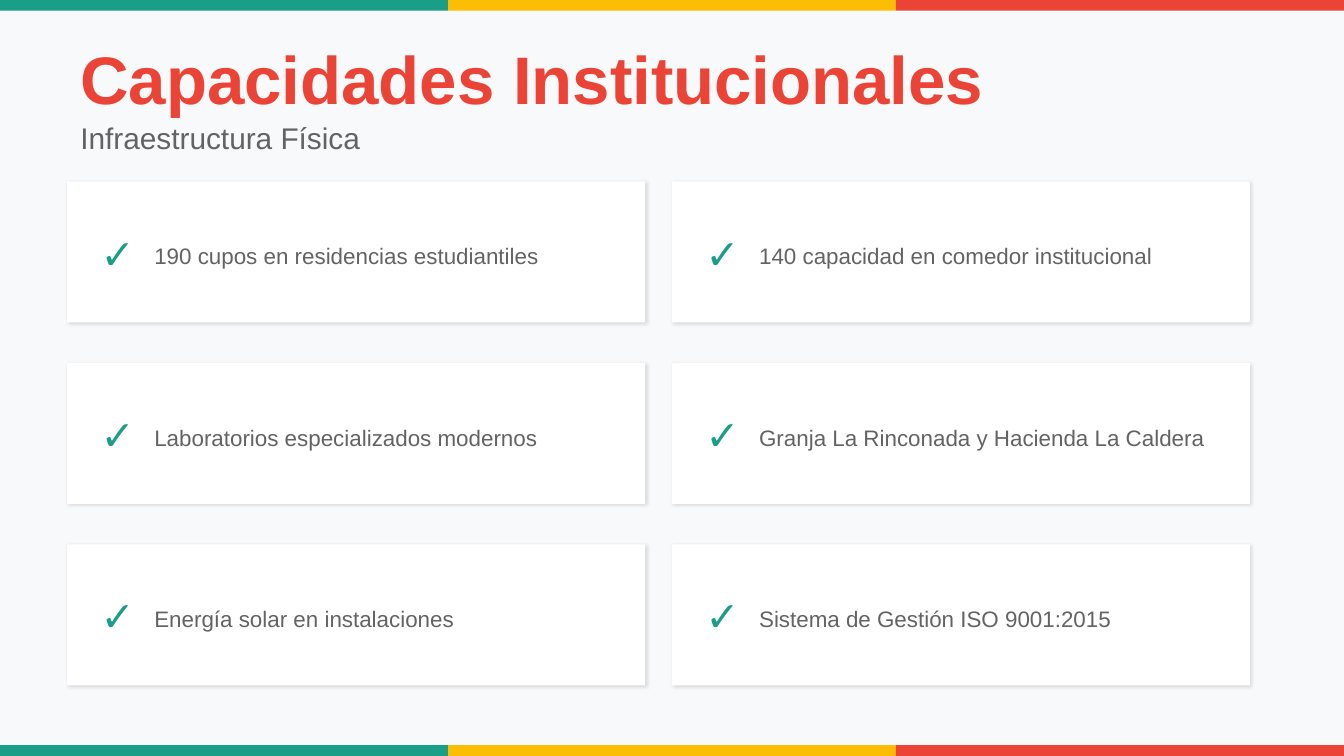
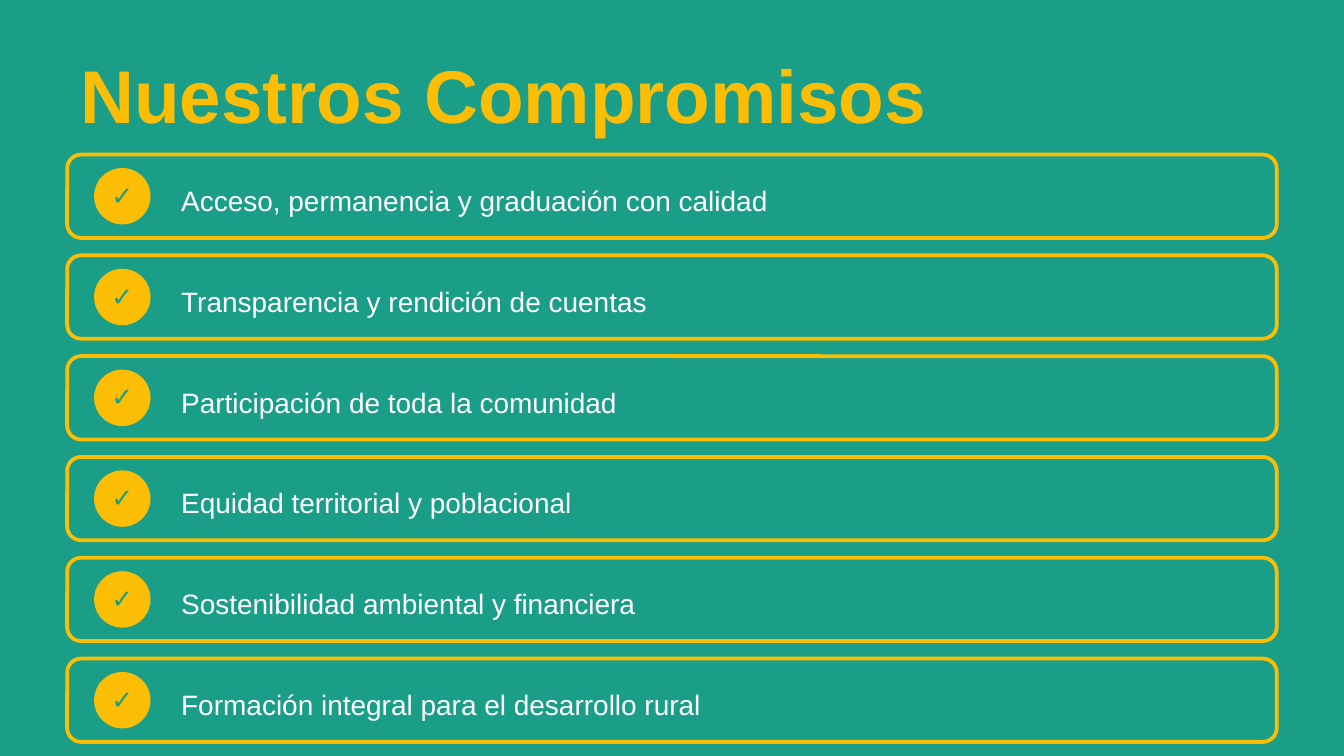
from lxml import etree
from pptx import Presentation
from pptx.dml.color import RGBColor
from pptx.enum.shapes import MSO_SHAPE
from pptx.enum.text import MSO_ANCHOR, PP_ALIGN
from pptx.oxml.ns import qn
from pptx.util import Pt

RECT = MSO_SHAPE.RECTANGLE
ROUND_RECT = MSO_SHAPE.ROUNDED_RECTANGLE
OVAL = MSO_SHAPE.OVAL
MIDDLE = MSO_ANCHOR.MIDDLE
LEFT = PP_ALIGN.LEFT
CENTER = PP_ALIGN.CENTER

GREEN = RGBColor(0x1B, 0x9E, 0x88)
YELLOW = RGBColor(0xFC, 0xBD, 0x05)
RED = RGBColor(0xEB, 0x43, 0x35)
GRAY = RGBColor(0x64, 0x63, 0x63)
WHITE = RGBColor(0xFF, 0xFF, 0xFF)
PALE = RGBColor(0xF8, 0xF9, 0xFA)

FONT = "Arial"
CHECK = "✓"
SLIDE_W, SLIDE_H = 720, 405
MARGIN = 36
CONTENT_W = SLIDE_W - 2 * MARGIN
BAND_H = 5.76

CAPACITIES = [
    "190 cupos en residencias estudiantiles",
    "140 capacidad en comedor institucional",
    "Laboratorios especializados modernos",
    "Granja La Rinconada y Hacienda La Caldera",
    "Energía solar en instalaciones",
    "Sistema de Gestión ISO 9001:2015",
]
COMMITMENTS = [
    "Acceso, permanencia y graduación con calidad",
    "Transparencia y rendición de cuentas",
    "Participación de toda la comunidad",
    "Equidad territorial y poblacional",
    "Sostenibilidad ambiental y financiera",
    "Formación integral para el desarrollo rural",
]


def add_slide(prs, background):
    s = prs.slides.add_slide(prs.slide_layouts[6])
    s.background.fill.solid()
    s.background.fill.fore_color.rgb = background
    return s


def add_box(s, kind, x, y, w, h, fill):
    sp = s.shapes.add_shape(kind, Pt(x), Pt(y), Pt(w), Pt(h))
    sp.shadow.inherit = False
    sp.fill.solid()
    sp.fill.fore_color.rgb = fill
    sp.line.fill.background()
    return sp


def add_text(s, text, x, y, w, h, size, color, bold=False, align=LEFT):
    tf = s.shapes.add_textbox(Pt(x), Pt(y), Pt(w), Pt(h)).text_frame
    tf.word_wrap = True
    tf.vertical_anchor = MIDDLE
    tf.text = text
    p = tf.paragraphs[0]
    p.alignment = align
    font = p.runs[0].font
    font.name = FONT
    font.size = Pt(size)
    font.bold = bold
    font.color.rgb = color


def add_title(s, text, y, h, size, color):
    add_text(s, text, MARGIN, y, CONTENT_W, h, size, color, bold=True)


def set_alpha(color_element, percent):
    etree.SubElement(color_element, qn("a:alpha"), val=str(percent * 1000))


def add_shadow(sp):
    effects = sp._element.spPr.find(qn("a:effectLst"))
    shadow = etree.SubElement(
        effects, qn("a:outerShdw"), blurRad=str(Pt(2)), dist=str(Pt(1)),
        dir=str(45 * 60000), algn="bl", rotWithShape="0")
    set_alpha(etree.SubElement(shadow, qn("a:srgbClr"), val="000000"), 12)


def add_bands(s):
    band_w = SLIDE_W / 3
    for y in (0, SLIDE_H - BAND_H):
        for i, color in enumerate((GREEN, YELLOW, RED)):
            add_box(s, RECT, i * band_w, y, band_w, BAND_H, color)


def add_capacity_card(s, text, x, y):
    add_shadow(add_box(s, RECT, x, y, 309.6, 75.6, WHITE))
    add_text(s, CHECK, x + 10.8, y + 20.16, 28.8, 36, 22, GREEN, bold=True)
    add_text(s, text, x + 39.6, y + 23.76, 259.2, 32.4, 12, GRAY)


def add_commitment_row(s, text, y):
    sp = add_box(s, ROUND_RECT, MARGIN, y, CONTENT_W, 44.64, GREEN)
    set_alpha(sp._element.spPr.find(qn("a:solidFill"))[0], 50)
    sp.line.color.rgb = YELLOW
    sp.line.width = Pt(2)
    x, d = MARGIN + 14.4, 30.24
    add_box(s, OVAL, x, y + 7.2, d, d, YELLOW)
    add_text(s, CHECK, x, y + 5.76, d, 31.68, 14, GREEN, bold=True, align=CENTER)
    add_text(s, text, MARGIN + 54, y + 10.8, 576, 27.36, 15, WHITE)


def build_capacities(prs):
    s = add_slide(prs, PALE)
    add_bands(s)
    add_title(s, "Capacidades Institucionales", 21.6, 39.6, 36, RED)
    add_text(s, "Infraestructura Física", MARGIN, 61.2, CONTENT_W, 25.2, 16, GRAY)
    for i, text in enumerate(CAPACITIES):
        row, col = divmod(i, 2)
        add_capacity_card(s, text, MARGIN + col * 324, 97.2 + row * 97.2)


def build_commitments(prs):
    s = add_slide(prs, GREEN)
    add_title(s, "Nuestros Compromisos", 28.8, 43.2, 40, YELLOW)
    for i, text in enumerate(COMMITMENTS):
        add_commitment_row(s, text, 82.8 + i * 54)


def main():
    prs = Presentation()
    prs.slide_width = Pt(SLIDE_W)
    prs.slide_height = Pt(SLIDE_H)
    build_capacities(prs)
    build_commitments(prs)
    prs.save("out.pptx")


if __name__ == "__main__":
    main()
